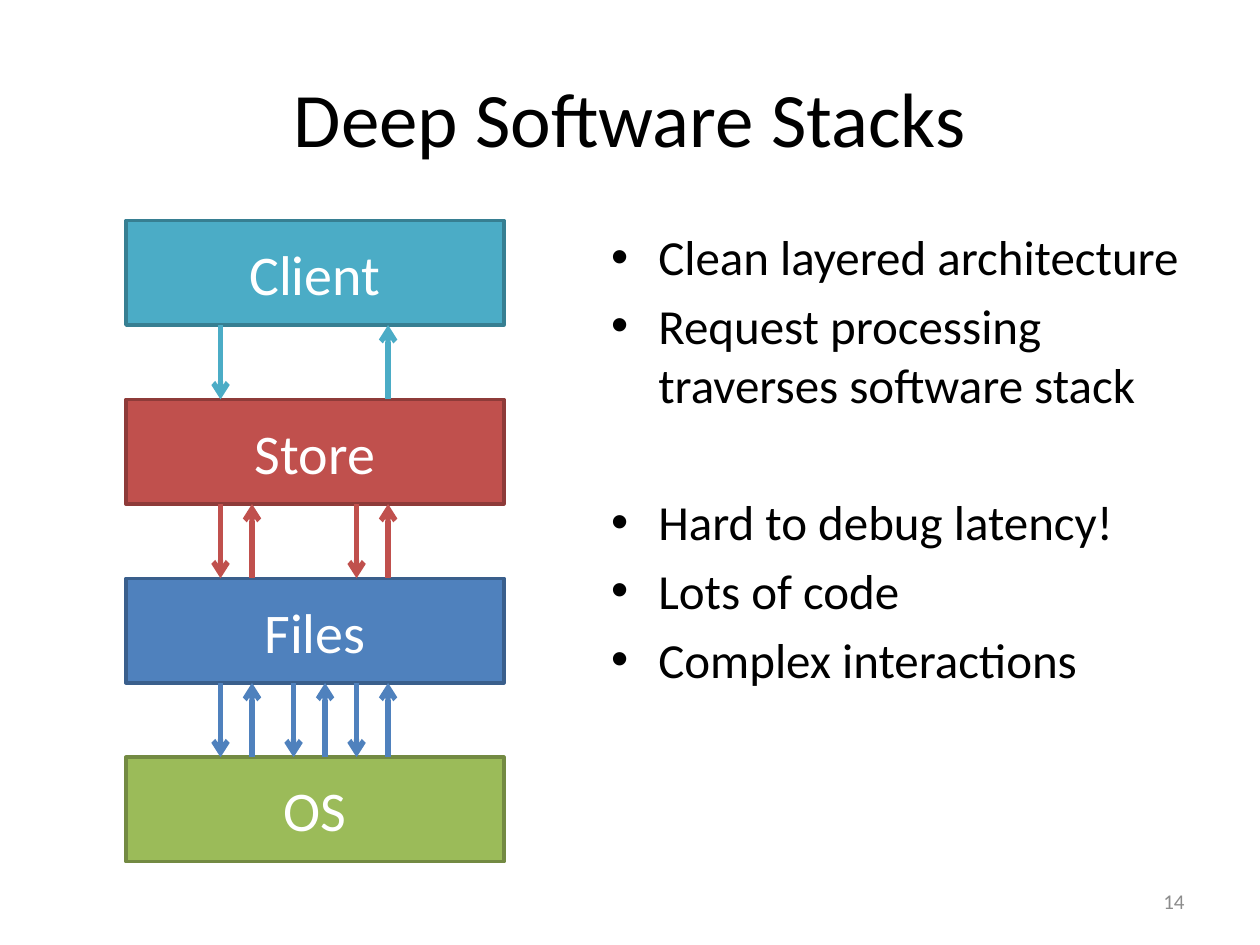
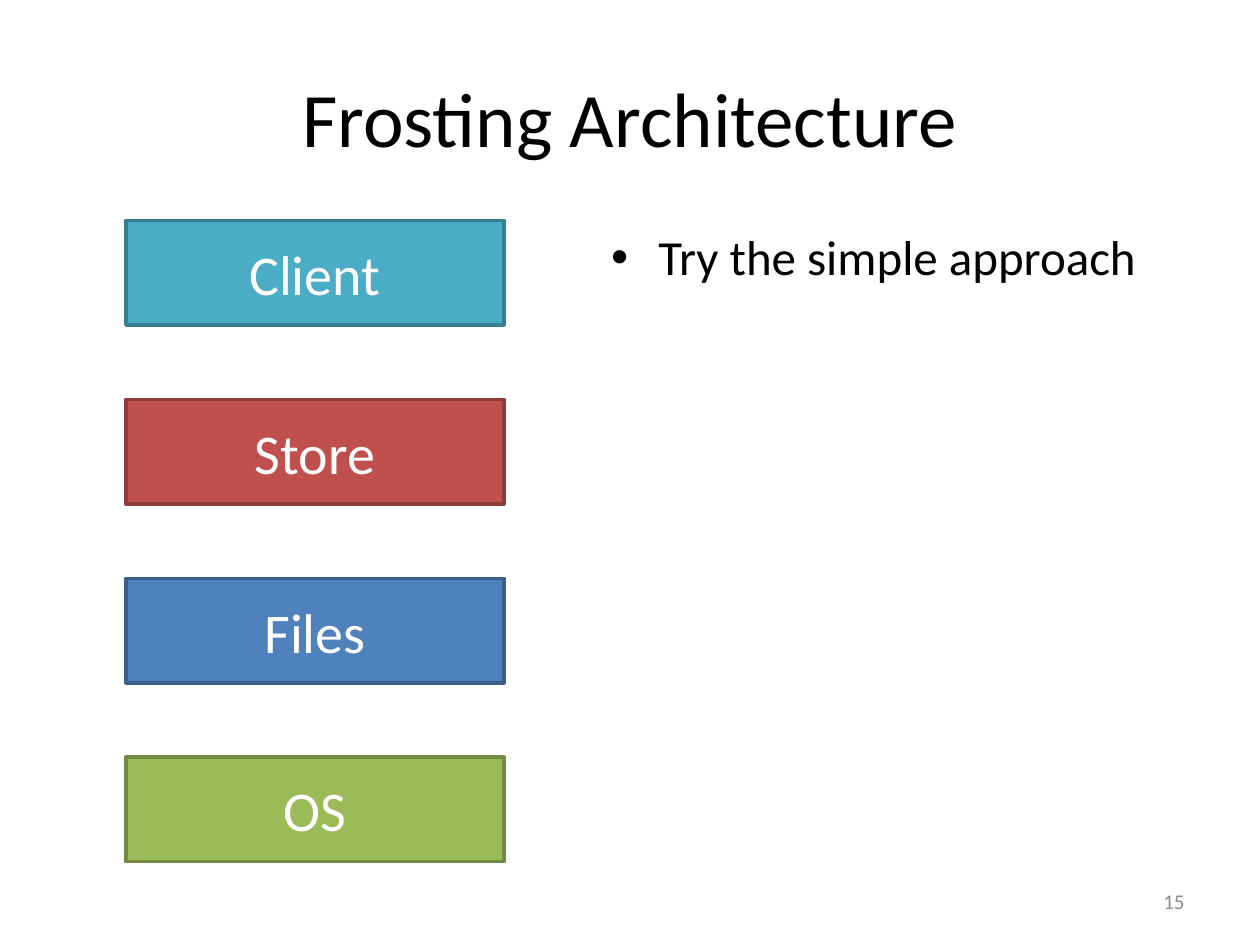
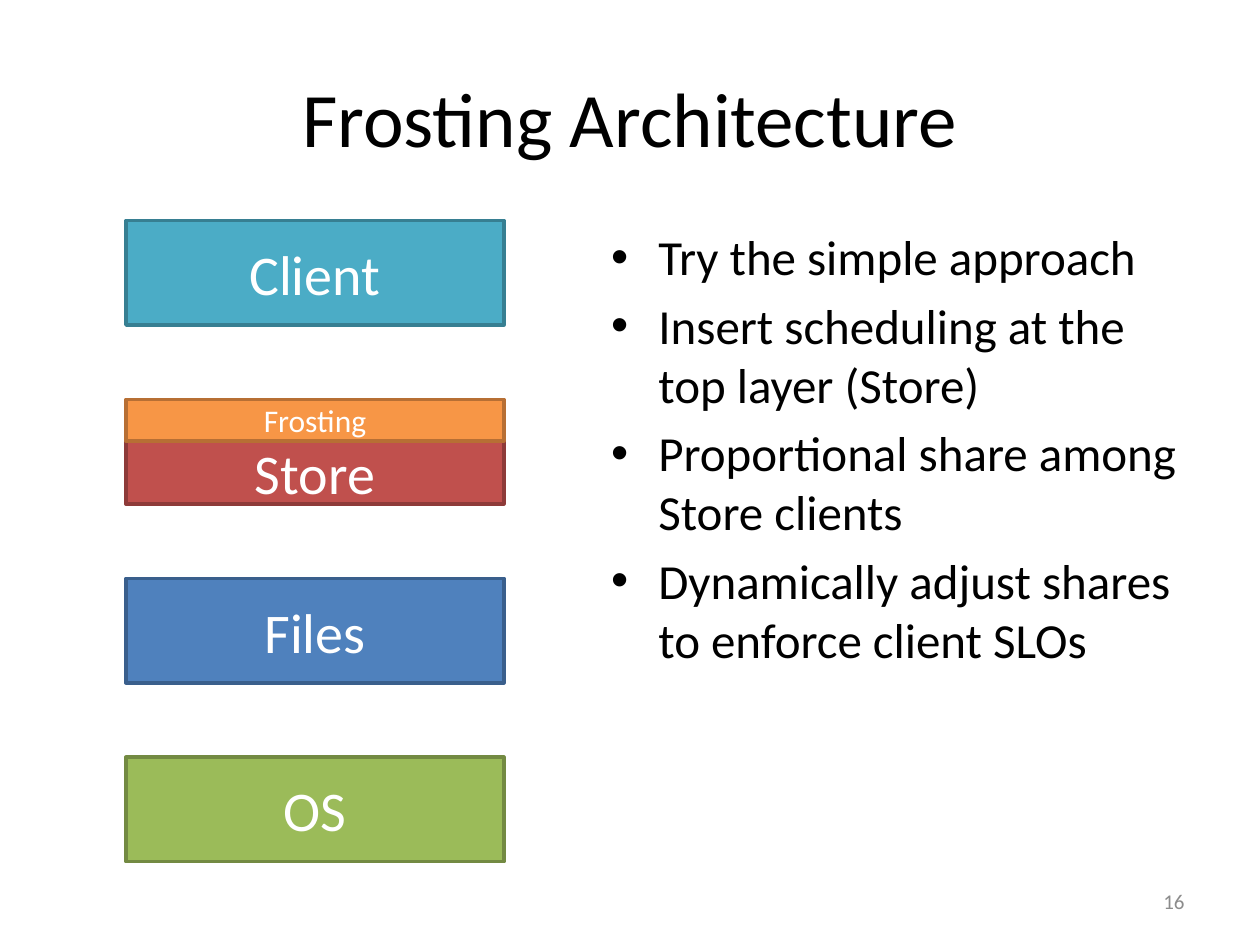
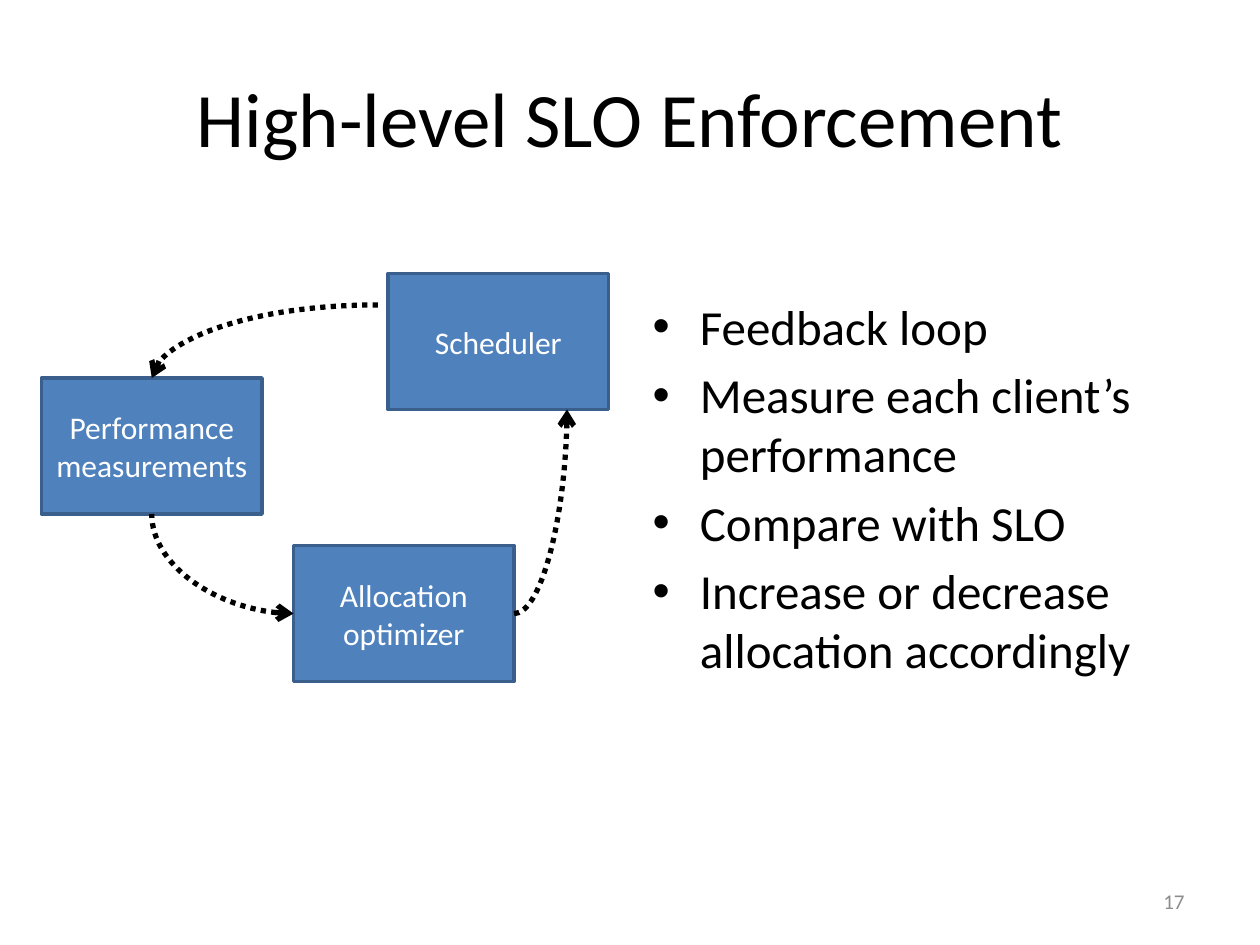
import lxml.etree
import pptx
import pptx.dml.color
import pptx.enum.dml
import pptx.enum.shapes
import pptx.enum.text
import pptx.oxml.ns
import pptx.util

Inches = pptx.util.Inches
Pt = pptx.util.Pt
RGB = pptx.dml.color.RGBColor.from_string
ALIGN = pptx.enum.text.PP_ALIGN
ANCHOR = pptx.enum.text.MSO_ANCHOR
CONNECTOR = pptx.enum.shapes.MSO_CONNECTOR
qn = pptx.oxml.ns.qn

FONT = "Calibri"
COLORS = {
    "text": "000000",
    "label": "FFFFFF",
    "number": "8C8C8C",
    "Client": "4BACC6",
    "Store": "C0504D",
    "Files": "4F81BD",
    "OS": "9BBB59",
    "Frosting": "F79646",
}
BORDERS = {
    "Client": "377F92",
    "Store": "8E3B39",
    "Files": "3A5F8C",
    "OS": "738A42",
    "Frosting": "B76F34",
}
FIRST_NUMBER = 14
LAYERS = ["Client", "Store", "Files", "OS"]
LAYER_LEFT, LAYER_WIDTH, LAYER_HEIGHT = 1, 3, 0.83
LAYER_TOPS = [1.75 + 1.42 * i for i in range(len(LAYERS))]
FROSTING_HEIGHT = 0.33
STEP_SIZE = (1.75, 1.08)
REQUESTS = [[1.75], [1.75, 2.83], [1.75, 2.33, 2.83]]
REPLIES = [[3.08], [2, 3.08], [2, 2.58, 3.08]]


def write_text(shape, paragraphs, size, color="text", align=None, anchor=None):
    frame = shape.text_frame
    frame.word_wrap = True
    frame.text = "\n".join(paragraphs)
    if anchor is not None:
        frame.vertical_anchor = anchor
    for paragraph in frame.paragraphs:
        paragraph.alignment = align
        for run in paragraph.runs:
            run.font.name = FONT
            run.font.size = Pt(size)
            run.font.color.rgb = RGB(COLORS[color])


def draw_arrow(slide, kind, start, finish, color, arrow_at="tailEnd", dash=None):
    ends = [Inches(value) for value in (*start, *finish)]
    arrow = slide.shapes.add_connector(kind, *ends)
    arrow.line.color.rgb = RGB(COLORS[color])
    arrow.line.width = Pt(3)
    if dash is not None:
        arrow.line.dash_style = dash
    properties = arrow._element.spPr
    lxml.etree.SubElement(properties.find(qn("a:ln")), qn("a:" + arrow_at), type="arrow")
    lxml.etree.SubElement(properties, qn("a:effectLst"))
    if kind == CONNECTOR.CURVE:
        properties.find(qn("a:prstGeom")).set("prst", "curvedConnector2")
    return arrow


stack = [
    (name, name, 32, (LAYER_LEFT, top, LAYER_WIDTH, LAYER_HEIGHT))
    for name, top in zip(LAYERS, LAYER_TOPS)
]
frosted_stack = list(stack)
store_top = LAYER_TOPS[1]
frosted_stack[1] = (
    "Store", "Store", 32,
    (LAYER_LEFT, store_top + FROSTING_HEIGHT, LAYER_WIDTH, LAYER_HEIGHT - FROSTING_HEIGHT),
)
frosted_stack.append(
    ("Frosting", "Frosting", 18, (LAYER_LEFT, store_top, LAYER_WIDTH, FROSTING_HEIGHT))
)
feedback_steps = [
    ("Performance measurements", "Files", 18, (0.33, 3, *STEP_SIZE)),
    ("Allocation optimizer", "Files", 18, (2.33, 4.33, *STEP_SIZE)),
    ("Scheduler", "Files", 18, (3.08, 2.17, *STEP_SIZE)),
]

contents = [
    ("Deep Software Stacks", 4.75, stack, [
        "Clean layered architecture",
        "Request processing traverses software stack",
        "Hard to debug latency!",
        "Lots of code",
        "Complex interactions",
    ]),
    ("Frosting Architecture", 4.75, stack, ["Try the simple approach"]),
    ("Frosting Architecture", 4.75, frosted_stack, [
        "Try the simple approach",
        "Insert scheduling at the top layer (Store)",
        "Proportional share among Store clients",
        "Dynamically adjust shares to enforce client SLOs",
    ]),
    ("High-level SLO Enforcement", 5.08, feedback_steps, [
        "Feedback loop",
        "Measure each client’s performance",
        "Compare with SLO",
        "Increase or decrease allocation accordingly",
    ]),
]

presentation = pptx.Presentation()
presentation.slide_width = Inches(10)
presentation.slide_height = Inches(7.5)

slides, bodies, boxes = [], [], []
for number, (heading, body_left, box_rows, points) in enumerate(contents, FIRST_NUMBER):
    slide = presentation.slides.add_slide(presentation.slide_layouts[1])
    title, body = slide.placeholders
    title.left, title.top = Inches(0.5), Inches(0.3)
    title.width, title.height = Inches(9), Inches(1.25)
    write_text(title, [heading], 44, align=ALIGN.CENTER, anchor=ANCHOR.MIDDLE)
    body.left, body.top = Inches(body_left), Inches(1.75)
    body.width, body.height = Inches(9.5 - body_left), Inches(4.95)
    write_text(body, points, 28)

    page_number = slide.shapes.add_textbox(Inches(7.17), Inches(6.95), Inches(2.33), Inches(0.4))
    write_text(page_number, [str(number)], 12, color="number", align=ALIGN.RIGHT, anchor=ANCHOR.MIDDLE)

    slide_boxes = {}
    for label, color, size, place in box_rows:
        box = slide.shapes.add_shape(
            pptx.enum.shapes.MSO_SHAPE.RECTANGLE, *[Inches(value) for value in place]
        )
        box.shadow.inherit = False
        box.fill.solid()
        box.fill.fore_color.rgb = RGB(COLORS[color])
        box.line.color.rgb = RGB(BORDERS[color])
        box.line.width = Pt(2)
        write_text(box, [label], size, color="label", align=ALIGN.CENTER, anchor=ANCHOR.MIDDLE)
        slide_boxes[label] = box
    slides.append(slide)
    bodies.append(body)
    boxes.append(slide_boxes)

bodies[0].text_frame.paragraphs[2].space_before = Pt(45)
bodies[3].text_frame.margin_top = Inches(0.6)

for i, (requests, replies) in enumerate(zip(REQUESTS, REPLIES)):
    upper, lower = LAYER_TOPS[i] + LAYER_HEIGHT, LAYER_TOPS[i + 1]
    for x in requests:
        draw_arrow(slides[0], CONNECTOR.STRAIGHT, (x, upper), (x, lower), LAYERS[i])
    for x in replies:
        draw_arrow(slides[0], CONNECTOR.STRAIGHT, (x, lower), (x, upper), LAYERS[i])

measurements = boxes[3]["Performance measurements"]
optimizer = boxes[3]["Allocation optimizer"]
dots = pptx.enum.dml.MSO_LINE.ROUND_DOT
to_optimizer = draw_arrow(
    slides[3], CONNECTOR.CURVE, (2.33, 4.88), (1.21, 4.08), "text", arrow_at="headEnd", dash=dots
)
to_optimizer.begin_connect(optimizer, 1)
to_optimizer.end_connect(measurements, 2)
to_scheduler = draw_arrow(slides[3], CONNECTOR.CURVE, (4.08, 4.88), (4.5, 3.25), "text", dash=dots)
to_scheduler.begin_connect(optimizer, 3)
to_measurements = draw_arrow(slides[3], CONNECTOR.CURVE, (3, 2.42), (1.21, 3), "text", dash=dots)
to_measurements.end_connect(measurements, 0)

presentation.save("out.pptx")
